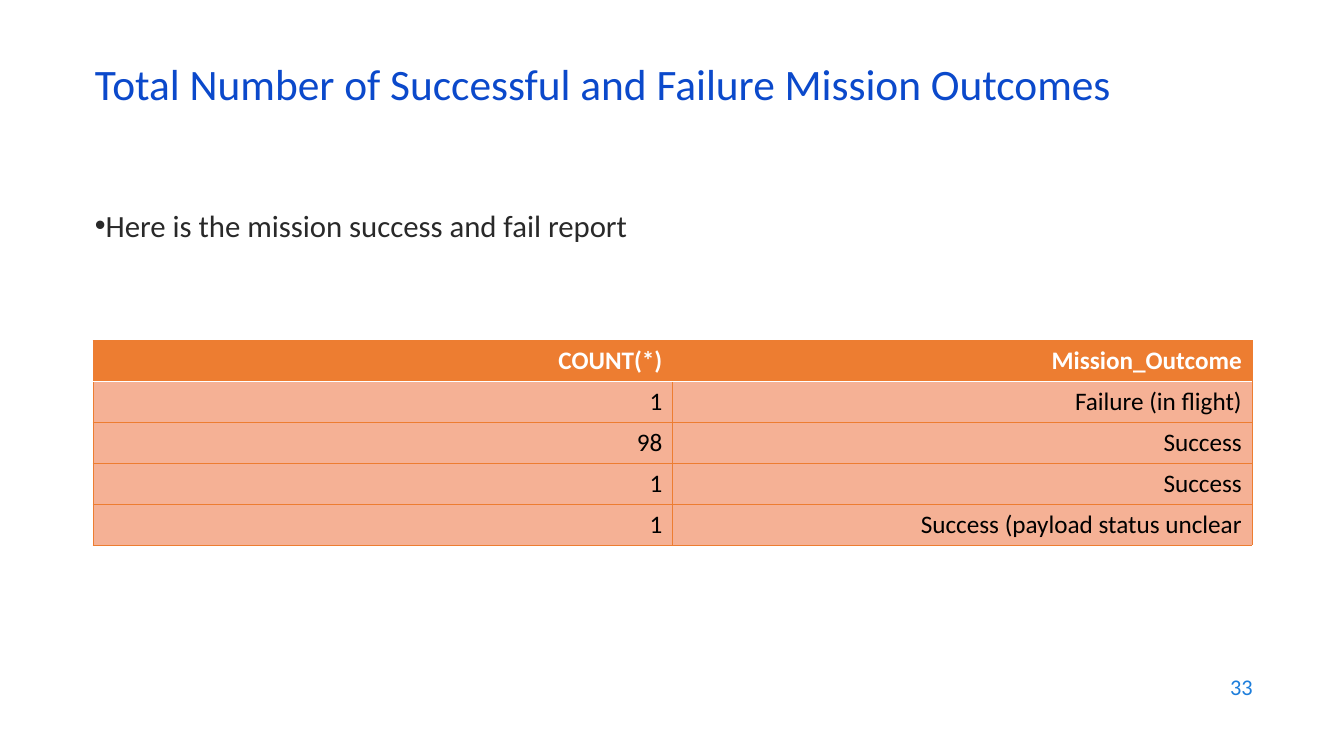
from lxml.etree import SubElement
from pptx import Presentation
from pptx.dml.color import RGBColor
from pptx.enum.text import MSO_ANCHOR as Anchor, MSO_AUTO_SIZE as AutoSize, PP_ALIGN as Align
from pptx.oxml.ns import qn
from pptx.util import Cm, Pt

ORANGE = "ED7D31"
PEACH = "F5B195"
WHITE = "FFFFFF"
OUTCOMES = [
    ("COUNT(*)", "Mission_Outcome"),
    ("1", "Failure (in flight)"),
    ("98", "Success"),
    ("1", "Success"),
    ("1", "Success (payload status unclear"),
]


def colour(value):
    return RGBColor.from_string(value)


def assign(target, values):
    for name, value in values.items():
        setattr(target, name, value)


class ReportPage:
    font_name = "Calibri"

    def __init__(self, deck):
        self.page = deck.slides.add_slide(deck.slide_layouts[1])

    def place(self, box, left, top, width, height):
        assign(box, {"left": Cm(left), "top": Cm(top),
                     "width": Cm(width), "height": Cm(height)})

    def add_text(self, frame, text, size, shade, bold=False, **layout):
        para = frame.paragraphs[0]
        assign(para, layout)
        span = para.add_run()
        span.text = text
        assign(span.font, {"name": self.font_name, "size": Pt(size), "bold": bold})
        span.font.color.rgb = colour(shade)

    def frame(self, box, anchor):
        assign(box.text_frame, {"word_wrap": True, "auto_size": AutoSize.NONE,
                                "vertical_anchor": anchor})
        return box.text_frame

    def title(self, text, *area):
        box = self.page.shapes.title
        self.place(box, *area)
        self.add_text(self.frame(box, Anchor.MIDDLE), text, 31, "0B49CB",
                      alignment=Align.LEFT, line_spacing=0.7)

    def bullet(self, text, *area):
        box = self.page.placeholders[1]
        self.place(box, *area)
        frame = self.frame(box, Anchor.TOP)
        properties = frame.paragraphs[0]._p.get_or_add_pPr()
        properties.set("marL", "0")
        properties.set("indent", "0")
        SubElement(properties, qn("a:buChar"), char="•")
        self.add_text(frame, text, 22, "292929", space_before=Pt(0))

    def number(self, text, *area):
        box = self.page.shapes.add_textbox(*map(Cm, area))
        self.add_text(self.frame(box, Anchor.MIDDLE), text, 16, "1C7DDB",
                      alignment=Align.RIGHT)

    def border(self, cell, side, shade, width):
        line = SubElement(cell._tc.get_or_add_tcPr(), qn(f"a:ln{side}"), w=str(Pt(width)))
        fill = SubElement(line, qn("a:solidFill"))
        SubElement(fill, qn("a:srgbClr"), val=shade)

    def table(self, rows, *area):
        grid = self.page.shapes.add_table(len(rows), len(rows[0]), *map(Cm, area)).table
        for row, texts in enumerate(rows):
            header = row == 0
            for column, text in enumerate(texts):
                cell = grid.cell(row, column)
                for side in "LRTB":
                    divider = (row, side) in ((0, "B"), (1, "T"))
                    self.border(cell, side, *((WHITE, 1) if divider else (ORANGE, 0.5)))
                cell.fill.solid()
                cell.fill.fore_color.rgb = colour(ORANGE if header else PEACH)
                cell.vertical_anchor = Anchor.MIDDLE
                self.add_text(cell.text_frame, text, 18, WHITE if header else "000000",
                              header, alignment=Align.RIGHT)


def main():
    deck = Presentation()
    assign(deck, {"slide_width": Cm(33.87), "slide_height": Cm(19.05)})
    report = ReportPage(deck)
    report.number("33", 24.2, 16.74, 7.62, 1.12)
    report.bullet("Here is the mission success and fail report", 2.14, 5.08, 27.08, 12.09)
    report.title("Total Number of Successful and Failure Mission Outcomes", 2.14, 1.5, 29.21, 1.52)
    report.table(OUTCOMES, 2.34, 8.58, 29.21, 5.15)
    deck.save("out.pptx")


if __name__ == "__main__":
    main()
